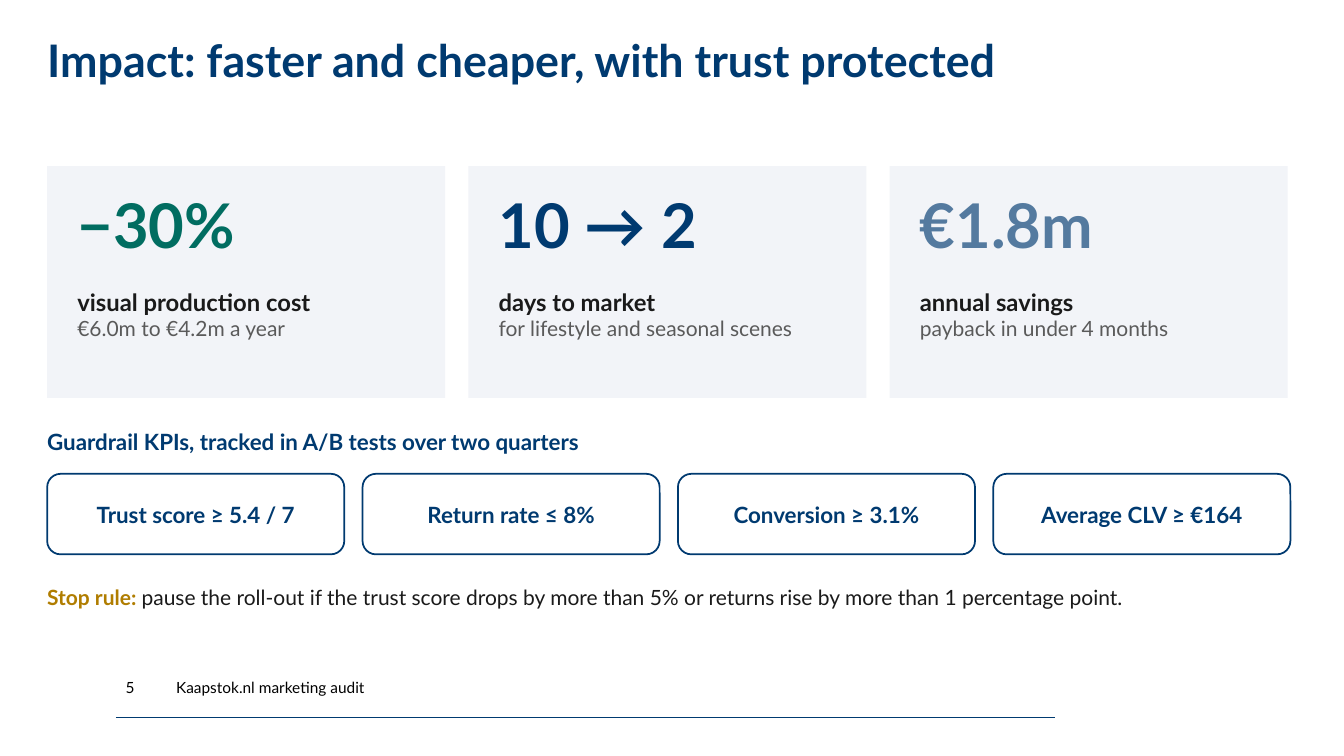
from dataclasses import dataclass

from lxml.etree import SubElement
from pptx import Presentation
from pptx.dml.color import RGBColor
from pptx.enum.shapes import MSO_CONNECTOR, MSO_SHAPE
from pptx.enum.text import MSO_ANCHOR, MSO_AUTO_SIZE, PP_ALIGN
from pptx.oxml.ns import qn
from pptx.util import Cm, Pt


@dataclass(frozen=True)
class Theme:
    font: str = "Lato"
    navy: str = "003A70"
    green: str = "016D61"
    steel: str = "547A9F"
    gold: str = "B07D00"
    ink: str = "1A1A1A"
    grey: str = "5A5A5A"
    black: str = "000000"
    panel: str = "F2F4F8"
    title: int = 32
    figure: int = 44
    label: int = 17
    heading: int = 16
    body: int = 15
    footer: int = 11


@dataclass(frozen=True)
class Box:
    """A rectangle in centimetres."""
    left: float
    top: float
    width: float
    height: float

    def lengths(self):
        return Cm(self.left), Cm(self.top), Cm(self.width), Cm(self.height)

    def inner(self, left, top, width, height):
        return Box(self.left + left, self.top + top, width, height)

    def columns(self, count, gap):
        width = (self.width - gap * (count - 1)) / count
        return [self.inner(i * (width + gap), 0, width, self.height) for i in range(count)]


THEME = Theme()

CARDS = [
    ("−30%", THEME.green, "visual production cost", "€6.0m to €4.2m a year"),
    ("10 → 2", THEME.navy, "days to market", "for lifestyle and seasonal scenes"),
    ("€1.8m", THEME.steel, "annual savings", "payback in under 4 months"),
]
KPIS = ["Trust score ≥ 5.4 / 7", "Return rate ≤ 8%", "Conversion ≥ 3.1%", "Average CLV ≥ €164"]


def add_span(para, text, size, color, bold=False):
    span = para.add_run()
    span.text = text
    span.font.name = THEME.font
    span.font.size = Pt(size)
    span.font.bold = bold
    span.font.color.rgb = RGBColor.from_string(color)


def set_frame(frame, anchor, across=0, down=0):
    frame.word_wrap = True
    frame.vertical_anchor = anchor
    frame.margin_left = frame.margin_right = Cm(across)
    frame.margin_top = frame.margin_bottom = Cm(down)


def add_text(page, box, *paragraphs, anchor=MSO_ANCHOR.TOP, down=0.13):
    """Each paragraph is a list of (text, size, color, bold) spans."""
    frame = page.shapes.add_textbox(*box.lengths()).text_frame
    set_frame(frame, anchor, down=down)
    for index, spans in enumerate(paragraphs):
        para = frame.add_paragraph() if index else frame.paragraphs[0]
        for span in spans:
            add_span(para, *span)


def add_title(page, box, text):
    title = page.shapes.title
    title.left, title.top, title.width, title.height = box.lengths()
    frame = title.text_frame
    set_frame(frame, MSO_ANCHOR.MIDDLE)
    frame.auto_size = MSO_AUTO_SIZE.NONE
    para = frame.paragraphs[0]
    para.alignment = PP_ALIGN.LEFT
    para.line_spacing = 0.9
    add_span(para, text, THEME.title, THEME.navy, True)


def add_card(page, box, figure, color, label, detail):
    panel = page.shapes.add_shape(MSO_SHAPE.RECTANGLE, *box.lengths())
    panel.shadow.inherit = False
    panel.fill.solid()
    panel.fill.fore_color.rgb = RGBColor.from_string(THEME.panel)
    panel.line.fill.background()
    inset, width = 0.76, 8.64
    add_text(page, box.inner(inset, 0.38, width, 2.41), [(figure, THEME.figure, color, True)])
    add_text(page, box.inner(inset, 2.92, width, 2.79),
             [(label, THEME.label, THEME.ink, True)],
             [(detail, THEME.body, THEME.grey, False)])


def add_kpi(page, box, text):
    pill = page.shapes.add_shape(MSO_SHAPE.ROUNDED_RECTANGLE, *box.lengths())
    pill.shadow.inherit = False
    pill.fill.background()
    pill.line.color.rgb = RGBColor.from_string(THEME.navy)
    pill.line.width = Pt(1.25)
    set_frame(pill.text_frame, MSO_ANCHOR.MIDDLE, across=0.46, down=0.36)
    para = pill.text_frame.paragraphs[0]
    para.alignment = PP_ALIGN.CENTER
    add_span(para, text, THEME.heading, THEME.navy, True)


def add_guardrails(page, box):
    add_text(page, box.inner(0, 0, 30.48, 1.02),
             [("Guardrail KPIs, tracked in A/B tests over two quarters",
               THEME.heading, THEME.navy, True)])
    row = box.inner(0, 1.27, box.width, 2.03)
    for cell, text in zip(row.columns(len(KPIS), 0.46), KPIS):
        add_kpi(page, cell, text)
    add_text(page, box.inner(0, 3.94, 31.24, 1.52),
             [("Stop rule: ", THEME.body, THEME.gold, True),
              ("pause the roll-out if the trust score drops by more than 5% "
               "or returns rise by more than 1 percentage point.",
               THEME.body, THEME.ink, False)])


def add_footer(page, box, number, text):
    bottom = Cm(box.top + box.height)
    rule = page.shapes.add_connector(
        MSO_CONNECTOR.STRAIGHT, Cm(box.left), bottom, Cm(box.left + box.width), bottom)
    rule.line.color.rgb = RGBColor.from_string(THEME.navy)
    rule.line.width = Pt(0.5)
    SubElement(rule.element.spPr, qn("a:effectLst"))
    for left, width, words in ((0.25, 1.27, number), (1.52, 10.16, text)):
        add_text(page, box.inner(left, 0, width, 1.02),
                 [(words, THEME.footer, THEME.black, False)],
                 anchor=MSO_ANCHOR.MIDDLE, down=0)


def add_impact_page(deck):
    page = deck.slides.add_slide(deck.slide_layouts.get_by_name("Title Only"))
    margin = 1.19
    # Title and footer
    add_title(page, Box(margin, 0, 31.47, 3.18),
              "Impact: faster and cheaper, with trust protected")
    add_footer(page, Box(2.92, 16.81, 23.67, 1.27), "5", "Kaapstok.nl marketing audit")
    # Headline figures
    cards = Box(margin, 4.19, 31.27, 5.84)
    for box, card in zip(cards.columns(len(CARDS), 0.59), CARDS):
        add_card(page, box, *card)
    # Guardrails and stop rule
    add_guardrails(page, Box(margin, 10.67, 31.34, 5.46))


def main():
    deck = Presentation()
    deck.slide_width, deck.slide_height = Cm(33.88), Cm(19.05)
    add_impact_page(deck)
    deck.save("out.pptx")


if __name__ == "__main__":
    main()
